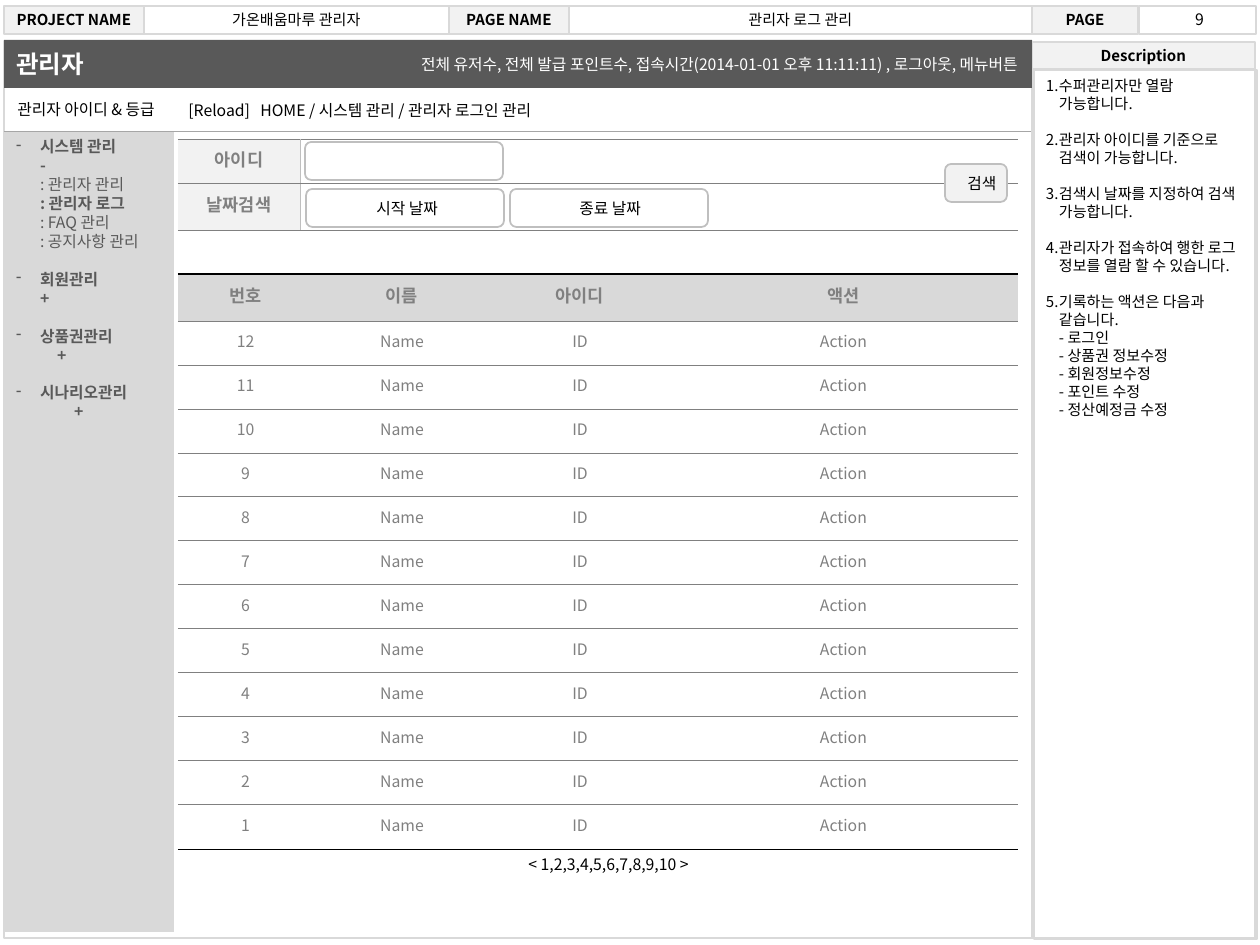
from pptx import Presentation
from pptx.util import Pt
from pptx.dml.color import RGBColor
from pptx.enum.shapes import MSO_SHAPE, MSO_CONNECTOR
from pptx.enum.text import PP_ALIGN, MSO_ANCHOR
from pptx.oxml.ns import qn
from lxml.etree import SubElement

RECT, ROUND = MSO_SHAPE.RECTANGLE, MSO_SHAPE.ROUNDED_RECTANGLE
LEFT, MID, RIGHT = PP_ALIGN.LEFT, PP_ALIGN.CENTER, PP_ALIGN.RIGHT
TOP, CENTER = MSO_ANCHOR.TOP, MSO_ANCHOR.MIDDLE
BLACK = RGBColor(0x00, 0x00, 0x00)
DARK = RGBColor(0x59, 0x59, 0x59)
GREY = RGBColor(0x80, 0x80, 0x80)
RULE = RGBColor(0xA6, 0xA6, 0xA6)
EDGE = RGBColor(0xBF, 0xBF, 0xBF)
PALE = RGBColor(0xD9, 0xD9, 0xD9)
LIGHT = RGBColor(0xF2, 0xF2, 0xF2)
WHITE = RGBColor(0xFF, 0xFF, 0xFF)
FONT = "Noto Sans CJK KR"
PX = 914400 / 126

# Content: header cells as (text, left, width, is label)
HEAD = [("PROJECT NAME", 4, 140, True), ("가온배움마루 관리자", 144, 305, False),
        ("PAGE NAME", 449, 120, True), ("관리자 로그 관리", 569, 463, False),
        ("PAGE", 1032, 106, True), ("", 1139, 117, False)]
# Lines as (text, format)
ITEM = dict(bold=True, mark="-", left=24, hang=24)
SUB = dict(left=24)
PLUS = dict(bold=True, left=24)
MENU = [("시스템 관리", ITEM), ("-", PLUS), (": 관리자 관리", SUB),
        (": 관리자 로그", PLUS), (": FAQ 관리", SUB), (": 공지사항 관리", SUB),
        ("회원관리", dict(ITEM, gap=19)), ("+", PLUS),
        ("상품권관리", dict(ITEM, gap=19)), ("+", dict(PLUS, left=41)),
        ("시나리오관리", dict(ITEM, gap=19)), ("+", dict(PLUS, left=58))]
NOTES = ["수퍼관리자만 열람 가능합니다.", "관리자 아이디를 기준으로 검색이 가능합니다.",
         "검색시 날짜를 지정하여 검색 가능합니다.",
         "관리자가 접속하여 행한 로그 정보를 열람 할 수 있습니다.",
         "기록하는 액션은 다음과 같습니다."]
ACTS = ["로그인", "상품권 정보수정", "회원정보수정", "포인트 수정", "정산예정금 수정"]
COLS = [122, 13, 178, 178, 349]
ROWS = [44, 47, 44, 47] + [44] * 11 + [45]
GRID = [["아이디"], ["날짜검색"], [""], ["번호", "", "이름", "아이디", "액션"]]
GRID += [[str(n), "", "Name", "ID", "Action"] for n in range(12, 0, -1)]
# Fields as (left, top, width, fill, text, text left, text width)
FIELDS = [(305, 142, 198, WHITE, "", 0, 0), (306, 189, 198, WHITE, "시작 날짜", 364, 95),
          (510, 189, 198, WHITE, "종료 날짜", 567, 95), (945, 164, 62, LIGHT, "검색", 955, 57)]

deck = Presentation()
deck.slide_width, deck.slide_height = round(1260 * PX), round(945 * PX)
slide = deck.slides.add_slide(deck.slide_layouts[6])


def px(*nums):
    return [round(n * PX) for n in nums]


def write(frame, text, size=9, color=BLACK, bold=False, align=LEFT, mark=None,
          left=0, hang=0, gap=0, more=False):
    """Put text in the first paragraph, or in a further one."""
    para = frame.add_paragraph() if more else frame.paragraphs[0]
    para.alignment = align
    para.line_spacing = Pt(round(size * 1.2, 1))
    para.space_before = px(gap)[0]
    props = para._p.get_or_add_pPr()
    props.set("marL", str(px(left)[0]))
    props.set("indent", str(px(-hang)[0]))
    if mark == "1.":
        SubElement(props, qn("a:buAutoNum"), type="arabicPeriod")
    elif mark:
        SubElement(props, qn("a:buChar"), char=mark)
    if text:
        run = para.add_run()
        run.text = text
        font = run.font
        font.size, font.bold, font.name = Pt(size), bold, FONT
        font.color.rgb = color
        SubElement(run._r.get_or_add_rPr(), qn("a:ea"), typeface=FONT)


def box(x, y, w, h, fill=None, line=PALE, kind=RECT, anchor=CENTER, pad=0):
    shape = slide.shapes.add_shape(kind, *px(x, y, w, h))
    shape.shadow.inherit = False
    if fill is None:
        shape.fill.background()
    else:
        shape.fill.solid()
        shape.fill.fore_color.rgb = fill
    if line is None:
        shape.line.fill.background()
    else:
        shape.line.color.rgb = line
        shape.line.width = Pt(1)
    frame = shape.text_frame
    frame.word_wrap, frame.vertical_anchor = True, anchor
    frame.margin_left, frame.margin_right = px(pad, pad)
    return frame


def label(x, y, w, text, h=32, anchor=TOP, **form):
    frame = slide.shapes.add_textbox(*px(x, y, w, h)).text_frame
    frame.word_wrap, frame.vertical_anchor = True, anchor
    write(frame, text, **form)


def border(cell, side, color=None, width=0.25):
    ln = SubElement(cell._tc.get_or_add_tcPr(), qn("a:" + side), w=str(Pt(width)))
    if color is None:
        SubElement(ln, qn("a:noFill"))
    else:
        fill = SubElement(ln, qn("a:solidFill"))
        SubElement(fill, qn("a:srgbClr"), val=str(color))


# Page header and frames
for text, x, w, key in HEAD:
    write(box(x, 6, w, 28, LIGHT if key else None), text, size=8.6, bold=key, align=MID)
box(4, 41, 1028, 897)
write(box(1032, 42, 223, 28, LIGHT), "Description", size=8.6, bold=True, align=MID)
box(1032, 69, 223, 869)
label(1164, -6, 71, "9", h=50, anchor=CENTER, align=MID)

# Side menu
menu = box(4, 131, 170, 801, PALE, None, anchor=TOP, pad=12)
for i, (text, form) in enumerate(MENU):
    write(menu, text, color=DARK, more=i > 0, **form)

# Title bar and path line
write(box(4, 40, 1028, 48, DARK, None, pad=12), "관리자", size=14, color=WHITE, bold=True)
label(289, 49, 741, "전체 유저수, 전체 발급 포인트수, 접속시간(2014-01-01 오후 11:11:11) , "
      "로그아웃, 메뉴버튼", color=WHITE, align=RIGHT)
rule = slide.shapes.add_connector(MSO_CONNECTOR.STRAIGHT, *px(4, 131, 1031, 131))
rule.line.color.rgb, rule.line.width = RULE, Pt(0.25)
SubElement(rule._element.spPr, qn("a:effectLst"))
label(5, 94, 189, "관리자 아이디 & 등급")
label(176, 95, 90, "[Reload]")
label(248, 95, 781, "HOME / 시스템 관리 / 관리자 로그인 관리")

# Search form and log table
table = slide.shapes.add_table(len(ROWS), len(COLS), *px(178, 139, sum(COLS), sum(ROWS))).table
table.first_row = table.horz_banding = False
for col, w in zip(table.columns, px(*COLS)):
    col.width = w
for r, height in enumerate(px(*ROWS)):
    table.rows[r].height = height
    for c in range(len(COLS)):
        cell = table.cell(r, c)
        cell.vertical_anchor = CENTER
        cell.margin_left, cell.margin_right, cell.margin_top, cell.margin_bottom = px(4, 4, 3, 3)
        text = GRID[r][c] if c < len(GRID[r]) else ""
        write(cell.text_frame, text, size=10 if r < 4 else 9, color=GREY, bold=r < 4, align=MID)
        form = r < 2
        border(cell, "lnL", EDGE if form and c == 1 else None)
        border(cell, "lnR", EDGE if form and c == 0 else None)
        for side, heavy in (("lnT", r == 3), ("lnB", r in (2, len(ROWS) - 1))):
            border(cell, side, BLACK if heavy else GREY, 1 if heavy else 0.25)
        if form and c:
            cell.fill.background()
        else:
            cell.fill.solid()
            cell.fill.fore_color.rgb = LIGHT if form else PALE if r == 3 else WHITE
    first, last = (1, 4) if r < 2 else (0, 4) if r == 2 else (0, 1)
    table.cell(r, first).merge(table.cell(r, last))

# Fields, button and pager
for x, y, w, fill, text, left, wide in FIELDS:
    box(x, y, w, 38, fill, EDGE, ROUND)
    if text:
        label(left, y + 4, wide, text)
label(516, 849, 193, "< 1,2,3,4,5,6,7,8,9,10 >")

# Description notes
notes = box(1034, 70, 223, 869, anchor=TOP, pad=12)
for i, text in enumerate(NOTES):
    write(notes, text, size=8.6, mark="1.", left=13, hang=13, gap=18 if i else 0, more=i > 0)
for text in ACTS:
    write(notes, "- " + text, size=8.6, left=13, more=True)

deck.save("out.pptx")
